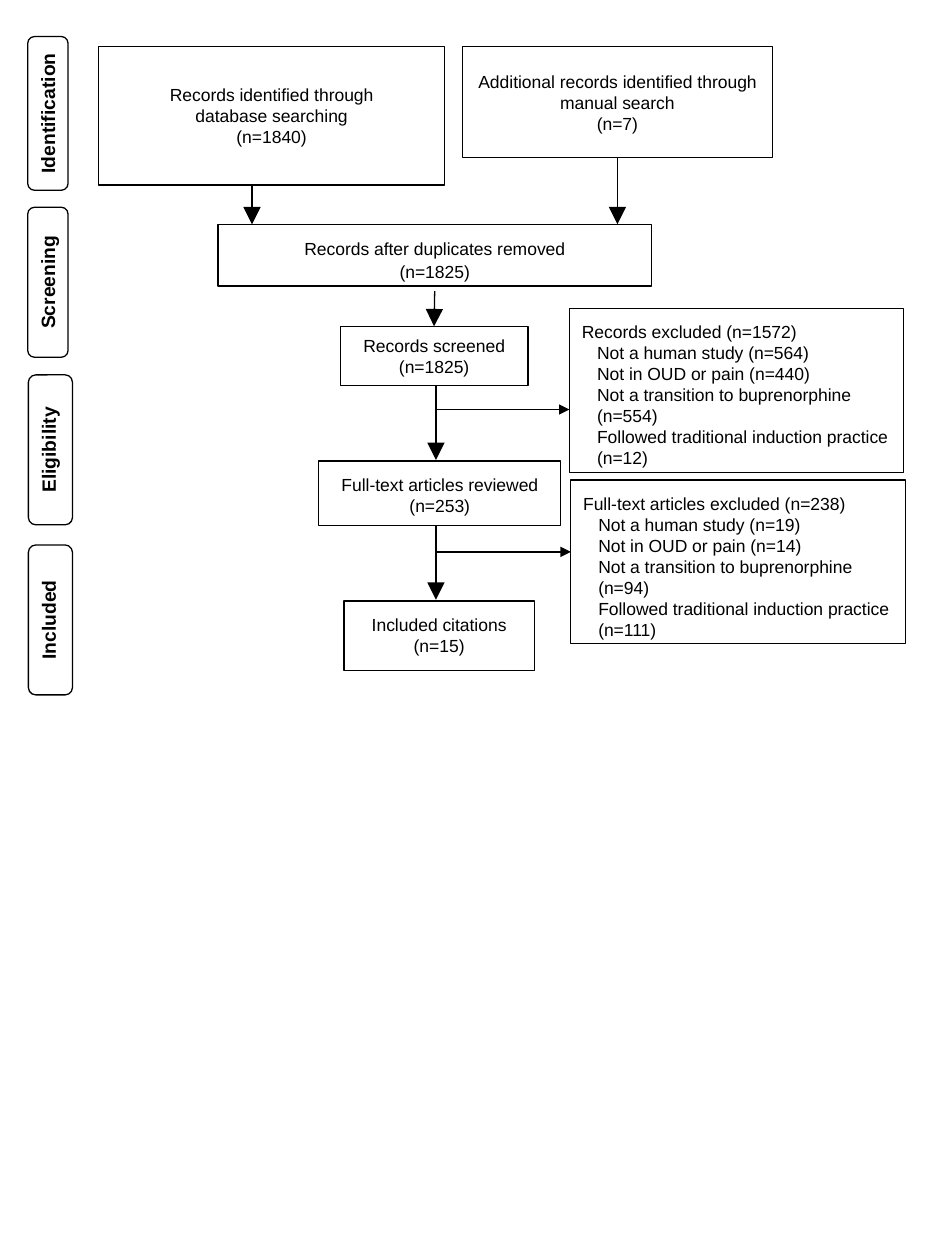
from lxml import etree
from pptx import Presentation
from pptx.dml.color import RGBColor
from pptx.enum import shapes, text
from pptx.oxml import ns
from pptx.util import Inches, Pt

COLOURS = {"paper": "FFFFFF", "ink": "000000"}
FONT = "Arial"
TOP, MIDDLE = text.MSO_ANCHOR.TOP, text.MSO_ANCHOR.MIDDLE
BOTTOM_SIDE, TOP_SIDE = 2, 0

# label, centre x, centre y, length, thickness
STAGES = [
    ("Identification", 0.38, 0.9, 1.22, 0.32),
    ("Screening", 0.38, 2.24, 1.19, 0.32),
    ("Eligibility", 0.4, 3.57, 1.19, 0.35),
    ("Included", 0.4, 4.92, 1.19, 0.35),
]

# key: (text, (left, top, width, height), anchor, line spacing)
STEPS = {
    "database": ("Records identified through\ndatabase searching\n(n=1840)",
                 (0.78, 0.37, 2.75, 1.1), MIDDLE, 1.0),
    "manual": ("Additional records identified through manual search\n(n=7)",
               (3.67, 0.37, 2.46, 0.88), MIDDLE, 1.0),
    "deduplicated": ("Records after duplicates removed\n(n=1825)",
                     (1.73, 1.78, 3.44, 0.49), TOP, 1.07),
    "screened": ("Records screened\n(n=1825)",
                 (2.7, 2.59, 1.49, 0.47), MIDDLE, 1.0),
    "reviewed": ("Full-text articles reviewed\n(n=253)",
                 (2.53, 3.66, 1.92, 0.51), TOP, 1.0),
    "included": ("Included citations\n(n=15)",
                 (2.73, 4.77, 1.51, 0.55), TOP, 1.0),
}

REASONS = ["Not a human study", "Not in OUD or pain",
           "Not a transition to buprenorphine",
           "Followed traditional induction practice"]
# heading, count for each reason, (left, top, width, height)
EXCLUSIONS = [
    ("Records excluded (n=1572)", (564, 440, 554, 12), (4.52, 2.45, 2.65, 1.3)),
    ("Full-text articles excluded (n=238)", (19, 14, 94, 111),
     (4.53, 3.81, 2.66, 1.3)),
]

# start, end, step joined at the start, step joined at the end
FLOWS = [
    ((2, 1.47), (2, 1.78), None, None),
    ((4.9, 1.25), (4.9, 1.78), "manual", None),
    ((3.45, 2.31), (3.45, 2.59), None, "screened"),
    ((3.46, 3.06), (3.46, 3.65), None, None),
    ((3.46, 4.17), (3.46, 4.76), None, None),
]
BRANCHES = [((3.46, 3.25), (4.52, 3.25)), ((3.46, 4.38), (4.53, 4.38))]


def colour(name):
    return RGBColor.from_string(COLOURS[name])


def add_box(slide, preset, frame, inset, anchor=TOP):
    box = slide.shapes.add_shape(preset, *map(Inches, frame))
    box.shadow.inherit = False
    box.fill.solid()
    box.fill.fore_color.rgb = colour("paper")
    box.line.color.rgb = colour("ink")
    box.line.width = Pt(0.75)
    body = box.text_frame
    body.word_wrap = True
    body.vertical_anchor = anchor
    body.margin_left = body.margin_right = Inches(inset)
    body.margin_top = body.margin_bottom = Inches(inset)
    return box


def write(paragraph, words, align, size=10, bold=False):
    paragraph.text = words
    paragraph.alignment = align
    for run in paragraph.runs:
        run.font.name = FONT
        run.font.size = Pt(size)
        run.font.bold = bold
        run.font.color.rgb = colour("ink")


def add_arrow(slide, start, end, head):
    arrow = slide.shapes.add_connector(shapes.MSO_CONNECTOR.STRAIGHT,
                                       *map(Inches, start + end))
    arrow.line.color.rgb = colour("ink")
    arrow.line.width = Pt(0.75)
    etree.SubElement(arrow.line._get_or_add_ln(), ns.qn("a:tailEnd"),
                     type="triangle", w=head, len=head)
    etree.SubElement(arrow._element.spPr, ns.qn("a:effectLst"))
    return arrow


def main():
    deck = Presentation()
    deck.slide_width, deck.slide_height = Inches(7.5), Inches(10)
    slide = deck.slides.add_slide(deck.slide_layouts[6])
    rectangle = shapes.MSO_SHAPE.RECTANGLE
    rounded = shapes.MSO_SHAPE.ROUNDED_RECTANGLE
    left, centre = text.PP_ALIGN.LEFT, text.PP_ALIGN.CENTER

    for label, x, y, length, thickness in STAGES:
        frame = (x - length / 2, y - thickness / 2, length, thickness)
        stage = add_box(slide, rounded, frame, 0.05)
        stage.rotation = 270
        write(stage.text_frame.paragraphs[0], label, centre, 11, True)

    steps = {}
    for key, (words, frame, anchor, spacing) in STEPS.items():
        steps[key] = add_box(slide, rectangle, frame, 0.1, anchor)
        paragraph = steps[key].text_frame.paragraphs[0]
        write(paragraph, words, centre)
        paragraph.line_spacing = spacing

    for heading, counts, frame in EXCLUSIONS:
        body = add_box(slide, rectangle, frame, 0.1).text_frame
        write(body.paragraphs[0], heading, left)
        for reason, count in zip(REASONS, counts):
            paragraph = body.add_paragraph()
            paragraph._p.get_or_add_pPr().set("marL", str(Inches(0.12)))
            write(paragraph, f"{reason} (n={count})", left)

    for start, end, source, target in FLOWS:
        arrow = add_arrow(slide, start, end, "lg")
        if source:
            arrow.begin_connect(steps[source], BOTTOM_SIDE)
        if target:
            arrow.end_connect(steps[target], TOP_SIDE)
    for start, end in BRANCHES:
        add_arrow(slide, start, end, "med")

    deck.save("out.pptx")


if __name__ == "__main__":
    main()
